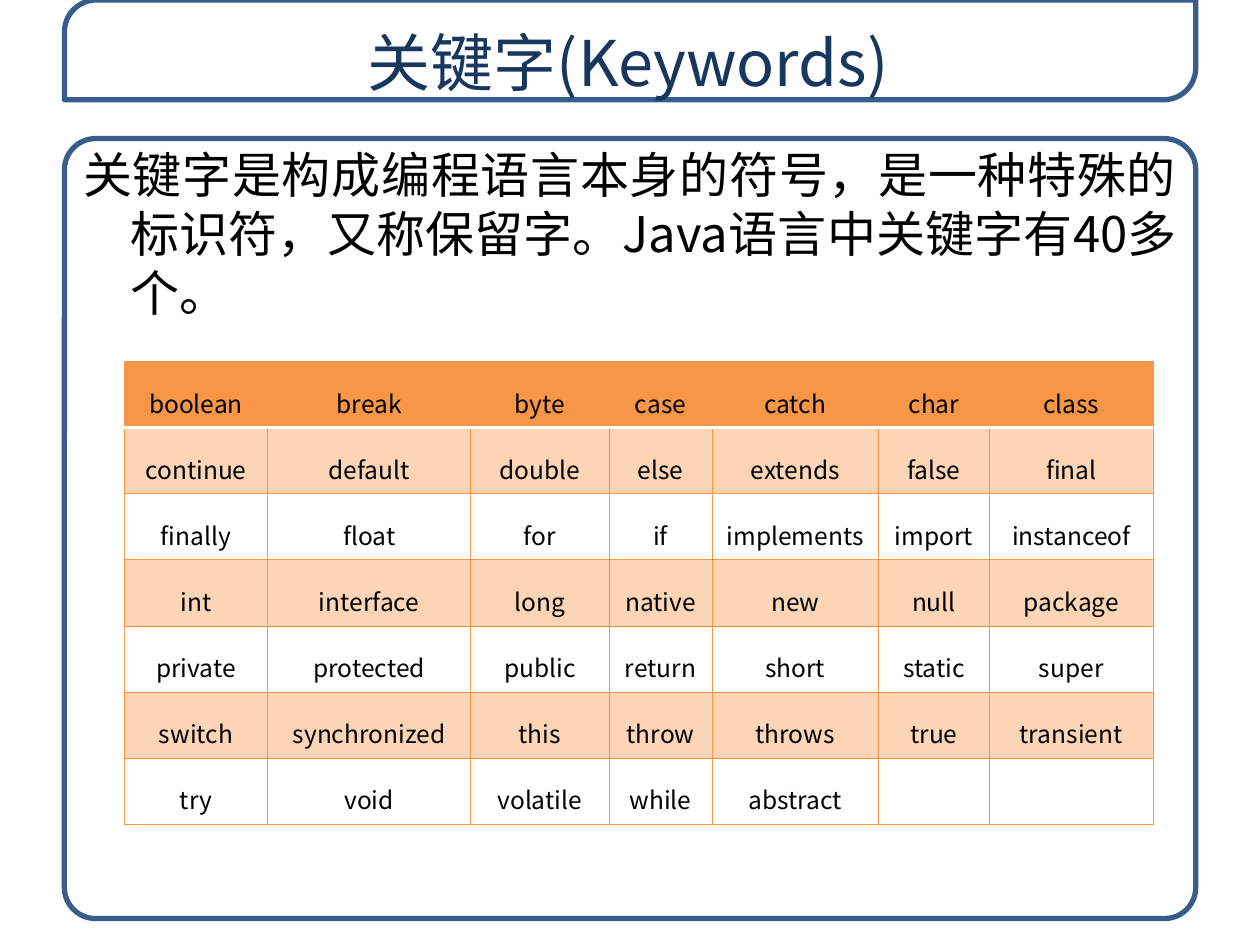
from typing import NamedTuple

from lxml.etree import SubElement
from pptx import Presentation
from pptx.dml.color import RGBColor
from pptx.enum.shapes import MSO_SHAPE as Preset
from pptx.enum.text import MSO_ANCHOR as Anchor, PP_ALIGN as Align
from pptx.oxml.ns import qn
from pptx.util import Pt

FONT = "Noto Sans CJK SC"
NAVY, BLUE, ORANGE = "17375E", "385D8A", "F79646"
BLACK, WHITE = "000000", "FFFFFF"

TITLE = "关键字(Keywords)"
DEFINITION = (
    "关键字是构成编程语言本身的符号，是一种特殊的标识符，又称保留字。"
    "Java语言中关键字有40多个。"
)
KEYWORDS = """
boolean break byte case catch char class
continue default double else extends false final
finally float for if implements import instanceof
int interface long native new null package
private protected public return short static super
switch synchronized this throw throws true transient
try void volatile while abstract
""".split()
COLUMN_WIDTHS = (82, 116, 79, 59, 95, 63.5, 93.5)
ROW_COUNT, ROW_HEIGHT = 7, 37.8


class Box(NamedTuple):
    left: float
    top: float
    width: float
    height: float

    def points(self) -> tuple:
        return tuple(Pt(length) for length in self)


class Panel(NamedTuple):
    preset: Preset
    box: Box
    corner: float


PANELS = (
    Panel(Preset.ROUNDED_RECTANGLE, Box(36.8, 79.2, 646.5, 445.7), 0.04),
    Panel(Preset.ROUND_2_DIAG_RECTANGLE, Box(36.8, 0, 646.5, 57), 0.32),
)
TITLE_BOX = Box(36, 10, 646, 55)
DEFINITION_BOX = Box(36, 79.2, 648, 112)
TABLE_BOX = Box(71, 206.5, sum(COLUMN_WIDTHS), ROW_COUNT * ROW_HEIGHT)


def color(value: str) -> RGBColor:
    return RGBColor.from_string(value)


def set_fill(fill, properties, value: str, opacity: int = 100) -> None:
    """Fill solidly; properties is the XML parent of the fill."""
    fill.solid()
    fill.fore_color.rgb = color(value)
    if opacity < 100:
        swatch = properties.find(qn("a:solidFill"))[0]
        SubElement(swatch, qn("a:alpha"), val=str(opacity * 1000))


def add_text(paragraph, text: str, size: float, value: str, align: Align) -> None:
    paragraph.alignment = align
    run = paragraph.add_run()
    run.text = text
    run.font.size = Pt(size)
    run.font.name = FONT
    run.font.color.rgb = color(value)
    SubElement(run._r.get_or_add_rPr(), qn("a:ea"), typeface=FONT)


def add_panel(slide, panel: Panel) -> None:
    shape = slide.shapes.add_shape(panel.preset, *panel.box.points())
    shape.shadow.inherit = False
    shape.adjustments[0] = panel.corner
    set_fill(shape.fill, shape._element.spPr, WHITE, 85)
    shape.line.color.rgb = color(BLUE)
    shape.line.width = Pt(3)


def place_title(slide) -> None:
    title = slide.shapes.title
    title.left, title.top, title.width, title.height = TITLE_BOX.points()
    title.text_frame.vertical_anchor = Anchor.TOP
    add_text(title.text_frame.paragraphs[0], TITLE, 36, NAVY, Align.CENTER)
    # Bring the title in front of its panel
    slide.shapes._spTree.append(title._element)


def add_definition(slide) -> None:
    frame = slide.shapes.add_textbox(*DEFINITION_BOX.points()).text_frame
    frame.word_wrap = True
    frame.vertical_anchor = Anchor.TOP
    frame.margin_left = frame.margin_right = Pt(11.5)
    paragraph = frame.paragraphs[0]
    properties = paragraph._p.get_or_add_pPr()
    properties.set("marL", str(Pt(27)))
    properties.set("indent", str(Pt(-27)))
    add_text(paragraph, DEFINITION, 28, BLACK, Align.JUSTIFY)


def set_border(cell, side: str, value: str, width: float) -> None:
    properties = cell._tc.get_or_add_tcPr()
    line = SubElement(properties, qn(f"a:ln{side}"), w=str(Pt(width)))
    SubElement(SubElement(line, qn("a:solidFill")), qn("a:srgbClr"), val=value)


def format_cell(cell, row: int) -> None:
    # A white rule divides the header from the body
    white_side = {0: "B", 1: "T"}.get(row)
    for side in "LRTB":
        if side == white_side:
            set_border(cell, side, WHITE, 1.5)
        else:
            set_border(cell, side, ORANGE, 0.45)
    cell.vertical_anchor = Anchor.MIDDLE
    cell.margin_top, cell.margin_bottom = Pt(3), Pt(9)
    if row == 0:
        set_fill(cell.fill, cell._tc.tcPr, ORANGE)
    elif row % 2:
        set_fill(cell.fill, cell._tc.tcPr, ORANGE, 40)
    else:
        cell.fill.background()


def add_keyword_table(slide) -> None:
    column_count = len(COLUMN_WIDTHS)
    table = slide.shapes.add_table(
        ROW_COUNT, column_count, *TABLE_BOX.points()
    ).table
    table.first_row = table.horz_banding = False
    for column, width in zip(table.columns, COLUMN_WIDTHS):
        column.width = Pt(width)
    for row in table.rows:
        row.height = Pt(ROW_HEIGHT)
    for index, cell in enumerate(table.iter_cells()):
        format_cell(cell, index // column_count)
        paragraph = cell.text_frame.paragraphs[0]
        if index < len(KEYWORDS):
            paragraph.line_spacing = 1.5
            add_text(paragraph, KEYWORDS[index], 14, BLACK, Align.CENTER)
        else:
            paragraph.font.size = Pt(14)


def main() -> None:
    presentation = Presentation()
    presentation.slide_width, presentation.slide_height = Pt(720), Pt(540)
    slide = presentation.slides.add_slide(presentation.slide_layouts[5])
    slide.background.fill.solid()
    slide.background.fill.fore_color.rgb = color(WHITE)

    for panel in PANELS:
        add_panel(slide, panel)
    place_title(slide)
    add_definition(slide)
    add_keyword_table(slide)
    presentation.save("out.pptx")


if __name__ == "__main__":
    main()
